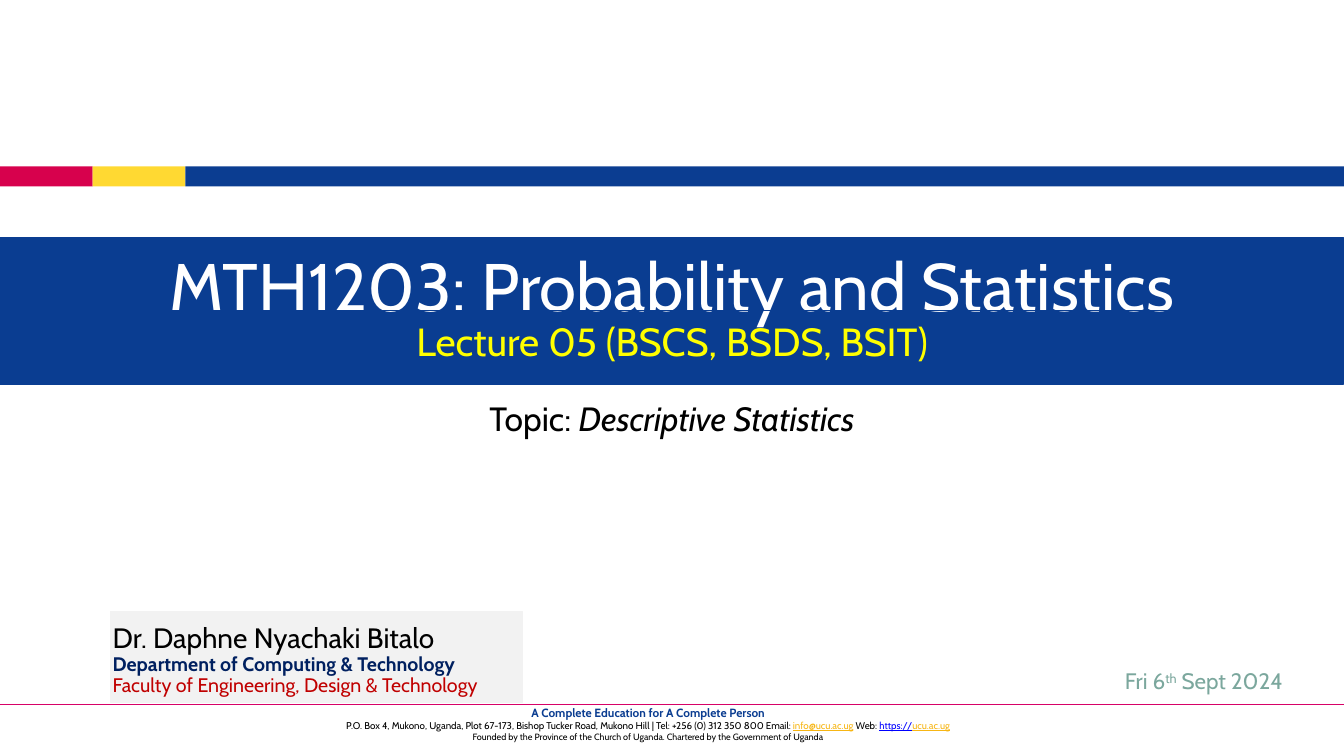
"""Builds the title slide of a probability and statistics lecture."""
from lxml import etree
from pptx import Presentation
from pptx.dml.color import RGBColor
from pptx.enum.shapes import MSO_CONNECTOR, MSO_SHAPE
from pptx.enum.text import MSO_ANCHOR, PP_ALIGN
from pptx.oxml.ns import qn
from pptx.util import Pt

RECTANGLE = MSO_SHAPE.RECTANGLE
STRAIGHT = MSO_CONNECTOR.STRAIGHT
TOP, MIDDLE = MSO_ANCHOR.TOP, MSO_ANCHOR.MIDDLE
LEFT, CENTER = PP_ALIGN.LEFT, PP_ALIGN.CENTER

WIDTH, HEIGHT = 960, 540
STRIPE_TOP, STRIPE_HEIGHT, STRIPE_STEP = 118.8, 14.4, 66.24
RULE_TOP = 503.3

THEME = {
    "font": "Cabin",
    "colors": {
        "blue": "0B3D91", "banner": "0A3D91", "crimson": "D7014D", "yellow": "FFD932",
        "rule": "D70167", "panel": "F2F2F2", "black": "000000", "white": "FFFFFF",
        "bright": "FFFF00", "navy": "002060", "red": "C00000", "sage": "7BA79D",
        "amber": "F7B615", "link": "0000FF",
    },
    "styles": {
        "motto": ("blue", {"size": Pt(8.5), "bold": True}),
        "address": ("black", {"size": Pt(7)}),
        "mail": ("amber", {"size": Pt(7), "underline": True}),
        "web": ("link", {"size": Pt(7), "underline": True}),
        "charter": ("black", {"size": Pt(6.5)}),
        "topic": ("black", {"size": Pt(24)}),
        "topic name": ("black", {"size": Pt(24), "italic": True}),
        "lecturer": ("black", {"size": Pt(20)}),
        "department": ("navy", {"size": Pt(14), "bold": True}),
        "faculty": ("red", {"size": Pt(14)}),
        "title": ("white", {"size": Pt(48)}),
        "lecture": ("bright", {"size": Pt(28)}),
        "date": ("sage", {"size": Pt(16)}),
        "ordinal": ("sage", {"size": Pt(16)}),
    },
}
SUPERSCRIPT = {"ordinal": "30000"}

STRIPE = [("crimson", 0, STRIPE_STEP), ("yellow", STRIPE_STEP, STRIPE_STEP),
          ("blue", 2 * STRIPE_STEP, WIDTH - 2 * STRIPE_STEP)]

FOOTER = [
    [("A Complete Education for A Complete Person", "motto")],
    [("P.O. Box 4, Mukono, Uganda, Plot 67-173, Bishop Tucker Road, Mukono Hill"
      " | Tel: +256 (0) 312 350 800 Email: ", "address"),
     ("info@ucu.ac.ug", "mail"), (" Web: ", "address"),
     ("https://", "web"), ("ucu.ac.ug", "mail")],
    [("Founded by the Province of the Church of Uganda. Chartered by the Government of Uganda",
      "charter")],
]
TOPIC = [[("Topic: ", "topic"), ("Descriptive Statistics", "topic name")]]
LECTURER = [
    [("Dr. Daphne Nyachaki Bitalo", "lecturer")],
    [("Department of Computing & Technology", "department")],
    [("Faculty of Engineering, Design & Technology", "faculty")],
]
TITLE = [[("MTH1203: Probability and Statistics", "title")]]
LECTURE = [[("Lecture 05 (BSCS, BSDS, BSIT)", "lecture")]]
DATE = [[("Fri 6", "date"), ("th", "ordinal"), (" Sept 2024", "date")]]


def color(name):
    return RGBColor.from_string(THEME["colors"][name])


def add_rectangle(slide, box, fill=None, line=None):
    shape = slide.shapes.add_shape(RECTANGLE, *map(Pt, box))
    shape.shadow.inherit = False
    if fill:
        shape.fill.solid()
        shape.fill.fore_color.rgb = color(fill)
    else:
        shape.fill.background()
    if line:
        shape.line.color.rgb = color(line)
        shape.line.width = Pt(0.75)
    else:
        shape.line.fill.background()
    return shape


def write(shape, paragraphs, anchor=MIDDLE, alignment=CENTER, spacing=0.9):
    frame = shape.text_frame
    frame.word_wrap = True
    frame.vertical_anchor = anchor
    for index, runs in enumerate(paragraphs):
        paragraph = frame.add_paragraph() if index else frame.paragraphs[0]
        paragraph.alignment = alignment
        paragraph.line_spacing = spacing
        for text, style in runs:
            run = paragraph.add_run()
            run.text = text
            color_name, formats = THEME["styles"][style]
            for name, value in {"name": THEME["font"], **formats}.items():
                setattr(run.font, name, value)
            run.font.color.rgb = color(color_name)
            if style in SUPERSCRIPT:
                run._r.get_or_add_rPr().set("baseline", SUPERSCRIPT[style])


def add_text(slide, box, paragraphs, **layout):
    write(slide.shapes.add_textbox(*map(Pt, box)), paragraphs, **layout)


def add_rule(slide):
    rule = slide.shapes.add_connector(STRAIGHT, 0, Pt(RULE_TOP), Pt(WIDTH), Pt(RULE_TOP))
    rule.line.color.rgb = color("rule")
    rule.line.width = Pt(1)
    etree.SubElement(rule._element.spPr, qn("a:effectLst"))


def main():
    presentation = Presentation()
    presentation.slide_width, presentation.slide_height = Pt(WIDTH), Pt(HEIGHT)
    slide = presentation.slides.add_slide(presentation.slide_layouts[6])

    for fill, left, width in STRIPE:
        add_rectangle(slide, (left, STRIPE_TOP, width, STRIPE_HEIGHT), fill)
    add_text(slide, (167, 500.4, 592, 33.8), FOOTER, anchor=TOP, spacing=1.0)
    add_rule(slide)

    add_text(slide, (120, 283.7, 720, 130.3), TOPIC, anchor=TOP)
    add_rectangle(slide, (79.2, 437, 293.8, 64.8), "panel", "panel")
    add_text(slide, (73.4, 439.2, 299.5, 65.5), LECTURER, alignment=LEFT)

    add_rectangle(slide, (0, 169.9, WIDTH, 104.4), "banner", "banner")
    for top, height, text in [(172.1, 69.8, TITLE), (221.8, 48.2, LECTURE)]:
        write(add_rectangle(slide, (0, top, WIDTH, height), line="banner"), text)
    add_text(slide, (760.3, 470.2, 199.4, 34.6), DATE)

    presentation.save("out.pptx")


if __name__ == "__main__":
    main()
